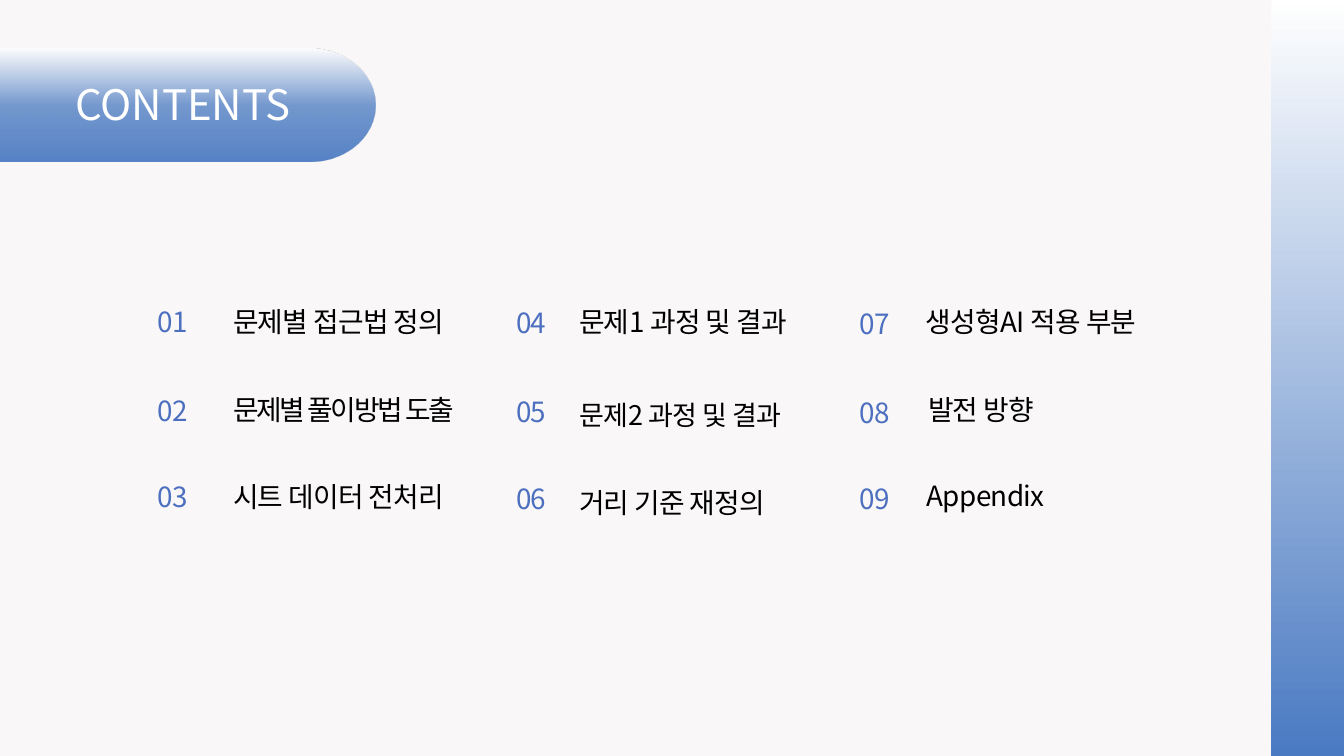
from math import cos, pi, sin

from lxml.etree import SubElement
from pptx import Presentation
from pptx.dml.color import RGBColor
from pptx.enum.text import MSO_AUTO_SIZE as AutoSize
from pptx.oxml.ns import qn
from pptx.util import Cm, Pt

FONT = "Noto Sans CJK KR"
PAPER = RGBColor(0xF9, 0xF7, 0xF7)
WHITE = RGBColor(0xFF, 0xFF, 0xFF)
BLACK = RGBColor(0, 0, 0)
BLUE = RGBColor(0x4A, 0x7A, 0xC2)
DEEP_BLUE = RGBColor(0x21, 0x5D, 0xB6)
NUMBER_BLUE = RGBColor(0x4C, 0x6F, 0xBF)

ROW_TOPS = (11.3, 14.66, 17.93)
NUMBER_COLUMNS = ((5.97, 0), (19.51, 0.05), (32.49, 0.08))
TOPICS = (
    ("문제별 접근법 정의", 8.81, 11.3, 8.94, {}),
    ("문제별 풀이방법 도출", 8.81, 14.63, 10.62, {"spacing": -2.3}),
    ("시트 데이터 전처리", 8.81, 17.93, 8.56, {}),
    ("문제1 과정 및 결과", 21.89, 11.3, 8.94, {}),
    ("문제2 과정 및 결과", 21.89, 14.86, 8.94,
     {"size": 28.9, "leading": 40.5, "spacing": -0.6}),
    ("거리 기준 재정의", 21.89, 18.16, 8.03, {}),
    ("생성형AI 적용 부분", 34.98, 11.3, 9.58, {}),
    ("발전 방향", 35.08, 14.63, 9.5, {}),
    ("Appendix", 35.03, 17.88, 9.5, {}),
)


def write_text(frame, text, size=29.8, color=BLACK, leading=41.8, spacing=-0.7):
    paragraph = frame.paragraphs[0]
    paragraph.line_spacing = Pt(leading)
    run = paragraph.add_run()
    run.text = text
    run.font.size = Pt(size)
    run.font.name = FONT
    run.font.color.rgb = color
    properties = run.font._element
    properties.set("spc", str(round(spacing * 100)))
    SubElement(properties, qn("a:ea")).set("typeface", FONT)


class SlideBuilder:
    def __init__(self, slide):
        self.slide = slide
        slide.background.fill.solid()
        slide.background.fill.fore_color.rgb = PAPER

    def gradient_outline(self, points, colors, opacity=100):
        corners = [(Cm(x), Cm(y)) for x, y in points]
        builder = self.slide.shapes.build_freeform(*corners[0])
        builder.add_line_segments(corners[1:], close=True)
        shape = builder.convert_to_shape()
        shape.shadow.inherit = False
        shape.line.fill.background()
        shape.fill.gradient()
        shape.fill.gradient_angle = 270
        stops = shape._element.spPr.find(qn("a:gradFill")).find(qn("a:gsLst"))
        stops.clear()
        for index, color in enumerate(colors):
            stop = SubElement(stops, qn("a:gs"))
            stop.set("pos", str(100000 * index // (len(colors) - 1)))
            tint = SubElement(stop, qn("a:srgbClr"))
            tint.set("val", str(color))
            if opacity < 100:
                SubElement(tint, qn("a:alpha")).set("val", str(opacity * 1000))

    def text(self, text, left, top, width, height=1.4, **style):
        box = self.slide.shapes.add_textbox(Cm(left), Cm(top), Cm(width), Cm(height))
        frame = box.text_frame
        frame.margin_left = frame.margin_right = 0
        frame.margin_top = frame.margin_bottom = 0
        frame.word_wrap = True
        frame.auto_size = AutoSize.SHAPE_TO_FIT_TEXT
        write_text(frame, text, **style)


def tab_points(left, top, bottom, curve_start, curve_width, steps=60):
    middle, radius = (top + bottom) / 2, (bottom - top) / 2
    angles = [pi * step / steps - pi / 2 for step in range(steps + 1)]
    curve = [(curve_start + curve_width * cos(a), middle + radius * sin(a))
             for a in angles]
    return [(left, top), *curve, (left, bottom)]


def main():
    presentation = Presentation()
    presentation.slide_width = Cm(50.8)
    presentation.slide_height = Cm(28.58)
    builder = SlideBuilder(presentation.slides.add_slide(presentation.slide_layouts[6]))

    side_band = [(48.06, -0.13), (50.9, -0.13), (50.9, 28.65), (48.06, 28.65)]
    builder.gradient_outline(side_band, (WHITE, BLUE))
    title_tab = tab_points(-0.05, 1.83, 6.1, 11.7, 2.5)
    builder.gradient_outline(title_tab, (WHITE, BLUE, DEEP_BLUE), opacity=75)
    builder.text("CONTENTS", 2.84, 3.28, 10.46, 1.65,
                 size=45, color=WHITE, leading=45, spacing=0)

    for text, left, top, width, style in TOPICS:
        builder.text(text, left, top, width, **style)
    for column, (left, drop) in enumerate(NUMBER_COLUMNS):
        for row, top in enumerate(ROW_TOPS):
            number = column * len(ROW_TOPS) + row + 1
            builder.text(f"{number:02}", left, top + drop, 1.4, color=NUMBER_BLUE)

    presentation.save("out.pptx")


if __name__ == "__main__":
    main()
